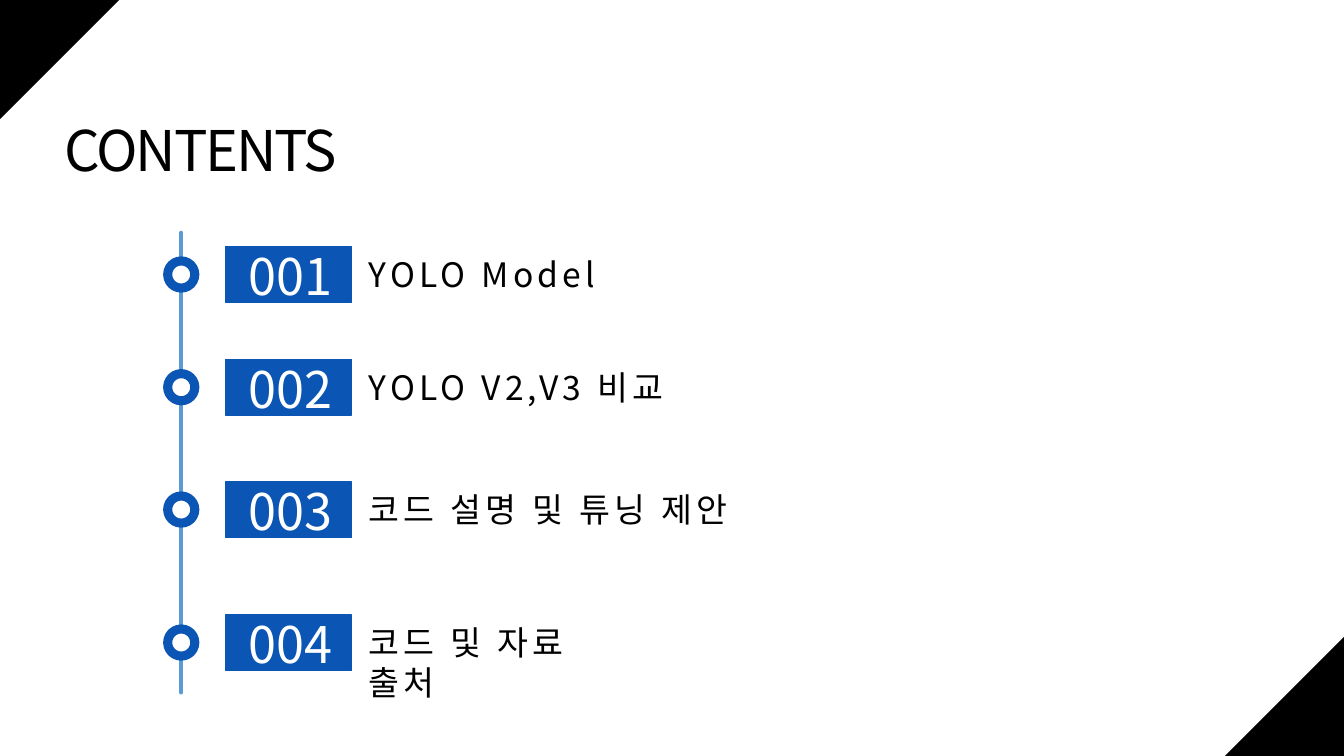
from dataclasses import dataclass

from lxml import etree
from pptx import Presentation
from pptx.dml.color import RGBColor
from pptx.enum.shapes import MSO_CONNECTOR, MSO_SHAPE
from pptx.enum.text import MSO_ANCHOR, MSO_AUTO_SIZE, PP_ALIGN
from pptx.oxml.ns import qn
from pptx.util import Pt

BLACK = RGBColor(0x00, 0x00, 0x00)
WHITE = RGBColor(0xFF, 0xFF, 0xFF)
BLUE = RGBColor(0x0B, 0x55, 0xB5)
LIGHT_BLUE = RGBColor(0x5B, 0x9B, 0xD5)
FONT = "Noto Sans CJK KR"

TRIANGLE = MSO_SHAPE.RIGHT_TRIANGLE
OVAL = MSO_SHAPE.OVAL
RECTANGLE = MSO_SHAPE.RECTANGLE
STRAIGHT = MSO_CONNECTOR.STRAIGHT
LEFT = PP_ALIGN.LEFT
CENTER = PP_ALIGN.CENTER
TOP = MSO_ANCHOR.TOP
GROW = MSO_AUTO_SIZE.SHAPE_TO_FIT_TEXT

SLIDE_W, SLIDE_H = 960, 540
CORNER = 85
LINE_X = 129.5
DOT = 19.4
BADGE_X, BADGE_W, BADGE_H = 161.3, 90, 39.6
NUMBER_X, NUMBER_W, NUMBER_H = 170, 75, 51
LABEL_X, LABEL_H = 256.3, 35.3


@dataclass(frozen=True)
class Entry:
    label: str
    center_y: float
    label_w: float
    wrap: bool


ENTRIES = [
    Entry("YOLO Model", 196.1, 238, False),
    Entry("YOLO V2,V3 비교", 276.6, 311, False),
    Entry("코드 설명 및 튜닝 제안", 364, 300, True),
    Entry("코드 및 자료 출처", 459, 193.7, True),
]


def place(sp, x: float, y: float, w: float, h: float) -> None:
    sp.left, sp.top, sp.width, sp.height = Pt(x), Pt(y), Pt(w), Pt(h)


def add_shape(shapes, kind, x: float, y: float, w: float, h: float,
              fill: RGBColor, line: RGBColor | None = None,
              line_w: float = 1):
    sp = shapes.add_shape(kind, Pt(x), Pt(y), Pt(w), Pt(h))
    sp.shadow.inherit = False
    sp.fill.solid()
    sp.fill.fore_color.rgb = fill
    if line is None:
        sp.line.fill.background()
    else:
        sp.line.color.rgb = line
        sp.line.width = Pt(line_w)
    return sp


def write(sp, text: str, size: float, color: RGBColor, align=LEFT,
          spacing: float = 0, wrap: bool = False) -> None:
    tf = sp.text_frame
    tf.text = text
    tf.word_wrap = wrap
    tf.auto_size = GROW
    tf.vertical_anchor = TOP
    p = tf.paragraphs[0]
    p.alignment = align
    r = p.runs[0]
    r.font.size = Pt(size)
    r.font.name = FONT
    r.font.color.rgb = color
    rpr = r.font._element
    rpr.set("spc", str(round(spacing * 100)))
    etree.SubElement(rpr, qn("a:ea")).set("typeface", FONT)


def add_text(shapes, x: float, y: float, w: float, h: float, text: str,
             size: float, color: RGBColor, align=LEFT,
             spacing: float = 0, wrap: bool = False) -> None:
    sp = shapes.add_textbox(Pt(x), Pt(y), Pt(w), Pt(h))
    write(sp, text, size, color, align, spacing, wrap)
    place(sp, x, y, w, h)


def add_timeline(s, top: float, bottom: float) -> None:
    cxn = s.shapes.add_connector(STRAIGHT, Pt(LINE_X), Pt(top),
                                 Pt(LINE_X), Pt(bottom))
    cxn.line.color.rgb = LIGHT_BLUE
    cxn.line.width = Pt(3)
    cxn.line._get_or_add_ln().set("cap", "rnd")
    etree.SubElement(cxn._element.spPr, qn("a:effectLst"))


def add_entry(s, number: int, entry: Entry) -> None:
    cy = entry.center_y
    add_shape(s.shapes, OVAL, LINE_X - DOT / 2, cy - DOT / 2, DOT, DOT,
              WHITE, BLUE, 6.5)
    badge = s.shapes.add_group_shape().shapes
    add_shape(badge, RECTANGLE, BADGE_X, cy - BADGE_H / 2, BADGE_W, BADGE_H,
              BLUE, BLUE)
    add_text(badge, NUMBER_X, cy - 24.7, NUMBER_W, NUMBER_H,
             f"{number:03}", 36, WHITE, CENTER)
    add_text(s.shapes, LABEL_X, cy - 18.2, entry.label_w, LABEL_H,
             entry.label, 24, BLACK, spacing=3, wrap=entry.wrap)


def main() -> None:
    prs = Presentation()
    prs.slide_width, prs.slide_height = Pt(SLIDE_W), Pt(SLIDE_H)
    s = prs.slides.add_slide(prs.slide_layouts[5])

    for x, y, angle in ((0, 0, 90),
                        (SLIDE_W - CORNER, SLIDE_H - CORNER, 270)):
        corner = add_shape(s.shapes, TRIANGLE, x, y, CORNER, CORNER, BLACK)
        corner.rotation = angle

    title = s.shapes.title
    write(title, "CONTENTS", 40, BLACK, spacing=-1.5)
    place(title, 39, 79, 222.5, 55)

    add_timeline(s, 166.3, 494.6)
    for number, entry in enumerate(ENTRIES, 1):
        add_entry(s, number, entry)

    prs.save("out.pptx")


if __name__ == "__main__":
    main()
